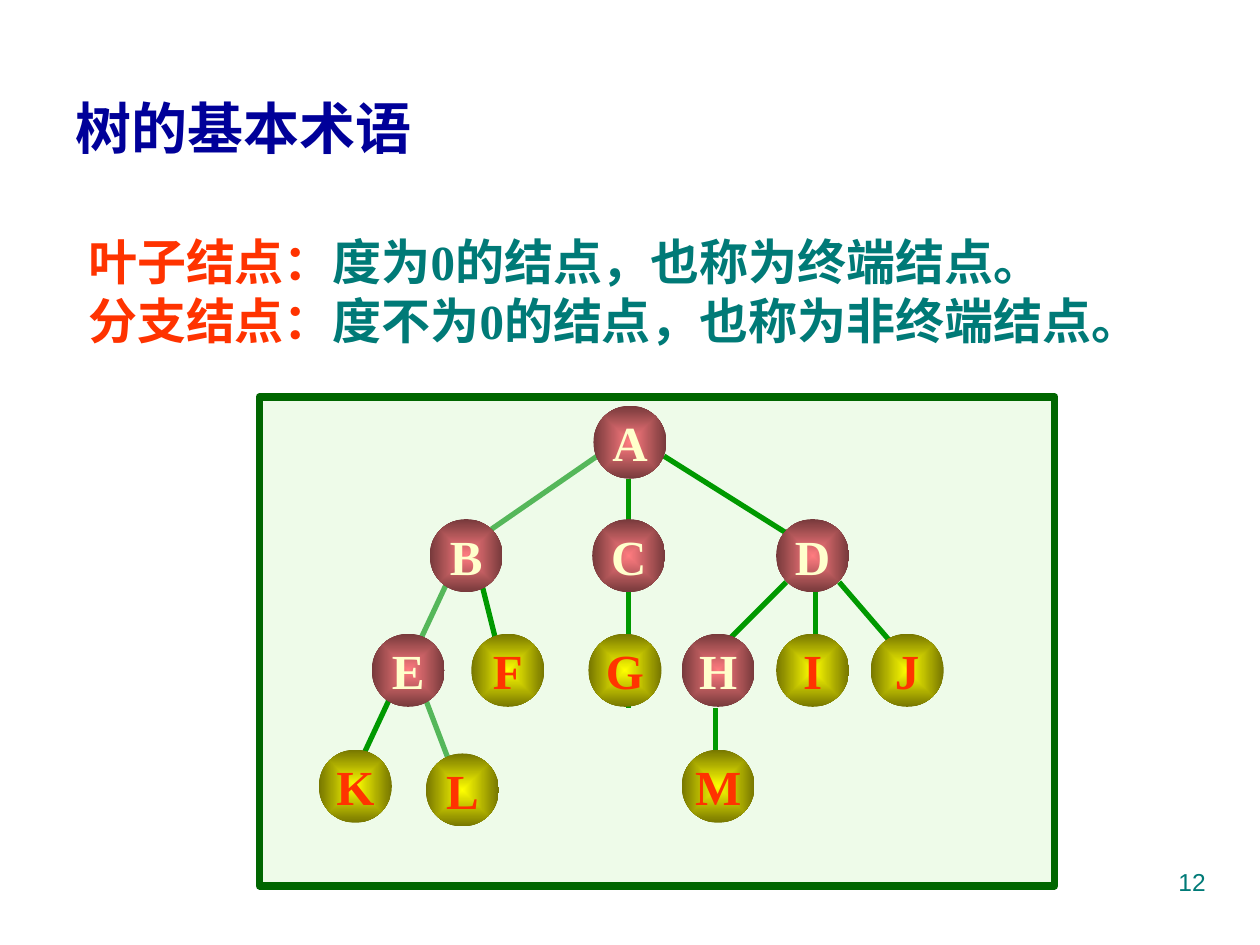
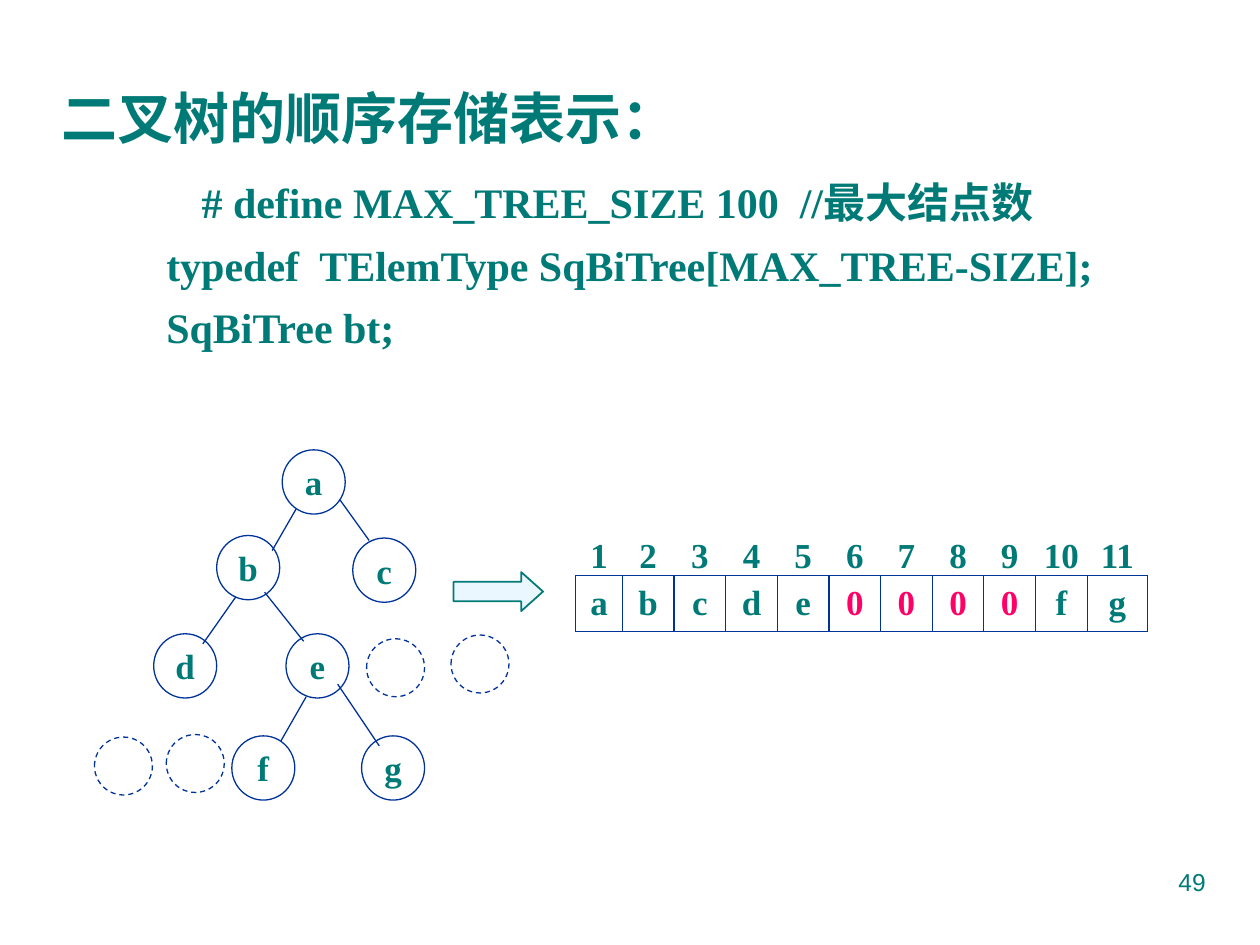
from dataclasses import dataclass
from typing import NamedTuple, Optional

from lxml import etree
from pptx import Presentation
from pptx import util as u
from pptx.dml.color import RGBColor
from pptx.enum import dml, shapes, text
from pptx.oxml.ns import qn
from pptx.slide import Slide

PX = 9144  # one hundred px to the inch

TEAL = RGBColor(0x00, 0x7A, 0x77)
NAVY = RGBColor(0x00, 0x00, 0x99)
BLUE = RGBColor(0x00, 0x33, 0x99)
ORANGE = RGBColor(0xFF, 0x33, 0x00)
PINK = RGBColor(0xFF, 0x00, 0x66)
CREAM = RGBColor(0xFF, 0xFF, 0xCC)
GREEN = RGBColor(0x00, 0x99, 0x00)
LIGHT_GREEN = RGBColor(0x55, 0xB7, 0x5A)
DARK_GREEN = RGBColor(0x00, 0x66, 0x00)
PALE_GREEN = RGBColor(0xEE, 0xFB, 0xE9)
PALE_BLUE = RGBColor(0xEB, 0xF7, 0xFF)
ROSE = (RGBColor(0xFF, 0x7C, 0x80), RGBColor(0x76, 0x39, 0x3B))
YELLOW = (RGBColor(0xFF, 0xFF, 0x00), RGBColor(0x76, 0x76, 0x00))

SERIF = "Times New Roman"
SANS = "Arial"
CHINESE = "Noto Sans CJK SC"
NO_TABLE_STYLE = "{2D5ABB26-0587-4C30-8999-92F81FD0307C}"


class Box(NamedTuple):
    left: int
    top: int
    width: int
    height: int

    def emu(self) -> list[int]:
        return [length * PX for length in self]


@dataclass(frozen=True)
class NodeStyle:
    width: int
    height: int
    text_color: RGBColor = TEAL
    text_size: int = 20
    gradient: Optional[tuple[RGBColor, RGBColor]] = None
    dash: Optional[dml.MSO_LINE] = None


class Node(NamedTuple):
    label: str
    left: int
    top: int
    style: NodeStyle


class Edge(NamedTuple):
    start: tuple[int, int]
    end: tuple[int, int]
    color: RGBColor = GREEN
    weight: float = 3


BRANCH = NodeStyle(58, 58, CREAM, 28, ROSE)
LEAF = NodeStyle(58, 58, ORANGE, 28, YELLOW)
FILLED = NodeStyle(50, 51)
MISSING = NodeStyle(46, 46, dash=dml.MSO_LINE.DASH)

TERM_NODES = [
    Node("A", 471, 322, BRANCH),
    Node("B", 341, 412, BRANCH),
    Node("C", 470, 412, BRANCH),
    Node("D", 616, 412, BRANCH),
    Node("E", 295, 503, BRANCH),
    Node("F", 374, 503, LEAF),
    Node("G", 467, 503, LEAF),
    Node("H", 541, 503, BRANCH),
    Node("I", 616, 503, LEAF),
    Node("J", 691, 503, LEAF),
    Node("K", 253, 595, LEAF),
    Node("L", 338, 598, LEAF),
    Node("M", 541, 595, LEAF),
]
TERM_EDGES = [
    Edge((474, 362), (390, 420), LIGHT_GREEN),
    Edge((499, 380), (499, 562)),
    Edge((527, 362), (632, 428)),
    Edge((355, 462), (334, 507), LIGHT_GREEN),
    Edge((382, 462), (397, 522)),
    Edge((624, 462), (574, 512)),
    Edge((647, 470), (647, 512)),
    Edge((666, 462), (716, 520)),
    Edge((309, 555), (288, 600)),
    Edge((337, 553), (356, 603), LIGHT_GREEN),
    Edge((568, 562), (568, 612)),
]
BINARY_NODES = [
    Node("a", 224, 357, FILLED),
    Node("b", 172, 425, FILLED),
    Node("c", 280, 427, FILLED),
    Node("d", 122, 503, FILLED),
    Node("e", 227, 503, FILLED),
    Node("f", 184, 584, FILLED),
    Node("g", 287, 584, FILLED),
    Node("", 291, 507, MISSING),
    Node("", 358, 504, MISSING),
    Node("", 75, 585, MISSING),
    Node("", 132, 583, MISSING),
]
BINARY_EDGES = [
    Edge(start, end, BLUE, 0.75)
    for start, end in [
        ((235, 404), (216, 437)),
        ((270, 397), (293, 429)),
        ((187, 474), (161, 511)),
        ((210, 470), (241, 509)),
        ((243, 553), (223, 588)),
        ((268, 543), (301, 592)),
    ]
]
DEFINITIONS = [
    ("叶子结点：", "度为0的结点，也称为终端结点。"),
    ("分支结点：", "度不为0的结点，也称为非终端结点。"),
]
CODE_LINES = [
    "# define MAX_TREE_SIZE 100  //最大结点数",
    "typedef  TElemType SqBiTree[MAX_TREE-SIZE];",
    "SqBiTree bt;",
]


def format_run(run, size: int, color: RGBColor, font: str = SERIF, bold: bool = True) -> None:
    run.font.size = u.Pt(size)
    run.font.bold = bold
    run.font.color.rgb = color
    run.font.name = font
    east_asian = etree.SubElement(run.font._element, qn("a:ea"))
    east_asian.set("typeface", CHINESE)


def clear_margins(frame) -> None:
    frame.margin_left = frame.margin_right = frame.margin_top = frame.margin_bottom = 0


def add_text_box(slide: Slide, box: Box):
    frame = slide.shapes.add_textbox(*box.emu()).text_frame
    frame.word_wrap = True
    clear_margins(frame)
    return frame


def add_titled_slide(presentation, title: str, box: Box, font: str, color: RGBColor, number: int) -> Slide:
    slide = presentation.slides.add_slide(presentation.slide_layouts[5])
    shape = slide.shapes.title
    shape.left, shape.top, shape.width, shape.height = box.emu()
    frame = shape.text_frame
    frame.text = title
    frame.auto_size = text.MSO_AUTO_SIZE.NONE
    frame.vertical_anchor = text.MSO_ANCHOR.TOP
    clear_margins(frame)
    frame.paragraphs[0].alignment = text.PP_ALIGN.LEFT
    format_run(frame.paragraphs[0].runs[0], 32, color, font)

    footer = add_text_box(slide, Box(717, 688, 240, 42))
    footer.text = str(number)
    footer.paragraphs[0].alignment = text.PP_ALIGN.RIGHT
    format_run(footer.paragraphs[0].runs[0], 14, TEAL, SANS, bold=False)
    return slide


def add_plain_shape(slide: Slide, kind: shapes.MSO_SHAPE, box: Box,
                    fill: Optional[RGBColor], line: Optional[RGBColor], weight: float = 0.75):
    shape = slide.shapes.add_shape(kind, *box.emu())
    shape.shadow.inherit = False
    if fill is None:
        shape.fill.background()
    else:
        shape.fill.solid()
        shape.fill.fore_color.rgb = fill
    if line is None:
        shape.line.fill.background()
    else:
        shape.line.color.rgb = line
        shape.line.width = u.Pt(weight)
    return shape


def fill_from_centre(shape, colors: tuple[RGBColor, RGBColor]) -> None:
    shape.fill.gradient()
    for stop, color, position in zip(shape.fill.gradient_stops, colors, (0, 1)):
        stop.color.rgb = color
        stop.position = position
    gradient = shape._element.spPr.find(qn("a:gradFill"))
    gradient.remove(gradient.find(qn("a:lin")))
    centre = etree.SubElement(gradient, qn("a:path"), {"path": "rect"})
    etree.SubElement(centre, qn("a:fillToRect"), dict.fromkeys("ltrb", "50000"))


def add_node(slide: Slide, node: Node) -> None:
    style = node.style
    box = Box(node.left, node.top, style.width, style.height)
    line = None if style.gradient else BLUE
    shape = add_plain_shape(slide, shapes.MSO_SHAPE.OVAL, box, None, line)
    if style.gradient:
        fill_from_centre(shape, style.gradient)
    if style.dash:
        shape.line.dash_style = style.dash
    if node.label:
        frame = shape.text_frame
        frame.text = node.label
        frame.word_wrap = False
        frame.vertical_anchor = text.MSO_ANCHOR.MIDDLE
        clear_margins(frame)
        frame.paragraphs[0].alignment = text.PP_ALIGN.CENTER
        format_run(frame.paragraphs[0].runs[0], style.text_size, style.text_color)


def add_tree(slide: Slide, nodes: list[Node], edges: list[Edge]) -> None:
    for edge in edges:
        ends = [length * PX for length in edge.start + edge.end]
        connector = slide.shapes.add_connector(shapes.MSO_CONNECTOR.STRAIGHT, *ends)
        connector.line.color.rgb = edge.color
        connector.line.width = u.Pt(edge.weight)
        etree.SubElement(connector._element.spPr, qn("a:effectLst"))
    for node in nodes:
        add_node(slide, node)


def add_cell_borders(cell) -> None:
    properties = cell._tc.get_or_add_tcPr()
    for position, side in enumerate(("a:lnL", "a:lnR", "a:lnT", "a:lnB")):
        border = etree.Element(qn(side), {"w": str(u.Pt(0.75))})
        fill = etree.SubElement(border, qn("a:solidFill"))
        etree.SubElement(fill, qn("a:srgbClr"), {"val": str(BLUE)})
        properties.insert(position, border)


def add_storage_array(slide: Slide, values: str) -> None:
    """Draw numbered array cells; a value of 0 marks a missing node."""
    count = len(values)
    table = slide.shapes.add_table(2, count, *Box(457, 423, 454, 78).emu()).table
    table._tbl.tblPr.find(qn("a:tableStyleId")).text = NO_TABLE_STYLE
    table.first_row = table.horz_banding = False
    for row, height in zip(table.rows, (34, 44)):
        row.height = height * PX
    for column, width in zip(table.columns, [37] + [41] * (count - 2) + [48]):
        column.width = width * PX
    for index, value in enumerate(values):
        for row, label in enumerate((str(index + 1), value)):
            cell = table.cell(row, index)
            cell.text = label
            cell.fill.background()
            clear_margins(cell)
            cell.vertical_anchor = text.MSO_ANCHOR.MIDDLE if row else text.MSO_ANCHOR.BOTTOM
            paragraph = cell.text_frame.paragraphs[0]
            paragraph.alignment = text.PP_ALIGN.CENTER
            format_run(paragraph.runs[0], 20, PINK if label == "0" else TEAL)
        add_cell_borders(table.cell(1, index))


def build_terms_slide(presentation) -> None:
    slide = add_titled_slide(presentation, "树的基本术语", Box(60, 74, 413, 64), SANS, NAVY, 12)
    frame = add_text_box(slide, Box(70, 189, 882, 99))
    for position, parts in enumerate(DEFINITIONS):
        paragraph = frame.add_paragraph() if position else frame.paragraphs[0]
        paragraph.line_spacing = 0.9
        if position:
            paragraph.space_before = u.Pt(3.5)
        for part, color in zip(parts, (ORANGE, TEAL)):
            run = paragraph.add_run()
            run.text = part
            format_run(run, 28, color)
    add_plain_shape(slide, shapes.MSO_SHAPE.RECTANGLE, Box(206, 315, 631, 388),
                    PALE_GREEN, DARK_GREEN, 4.5)
    add_tree(slide, TERM_NODES, TERM_EDGES)


def build_storage_slide(presentation) -> None:
    slide = add_titled_slide(presentation, "二叉树的顺序存储表示：", Box(49, 66, 914, 64),
                             SERIF, TEAL, 49)
    frame = add_text_box(slide, Box(132, 140, 820, 150))
    frame.text = "\n".join(CODE_LINES)
    for position, paragraph in enumerate(frame.paragraphs):
        if position:
            paragraph.space_before = u.Pt(7)
        else:
            paragraph._p.get_or_add_pPr().set("indent", str(28 * PX))
        format_run(paragraph.runs[0], 24, TEAL)
    add_tree(slide, BINARY_NODES, BINARY_EDGES)
    arrow = add_plain_shape(slide, shapes.MSO_SHAPE.RIGHT_ARROW, Box(360, 454, 71, 31),
                            PALE_BLUE, TEAL, 1)
    arrow.adjustments[1] = 0.56
    add_storage_array(slide, "abcde0000fg")


def main() -> None:
    presentation = Presentation()
    presentation.slide_width, presentation.slide_height = 1000 * PX, 750 * PX
    build_terms_slide(presentation)
    build_storage_slide(presentation)
    presentation.save("out.pptx")


if __name__ == "__main__":
    main()
